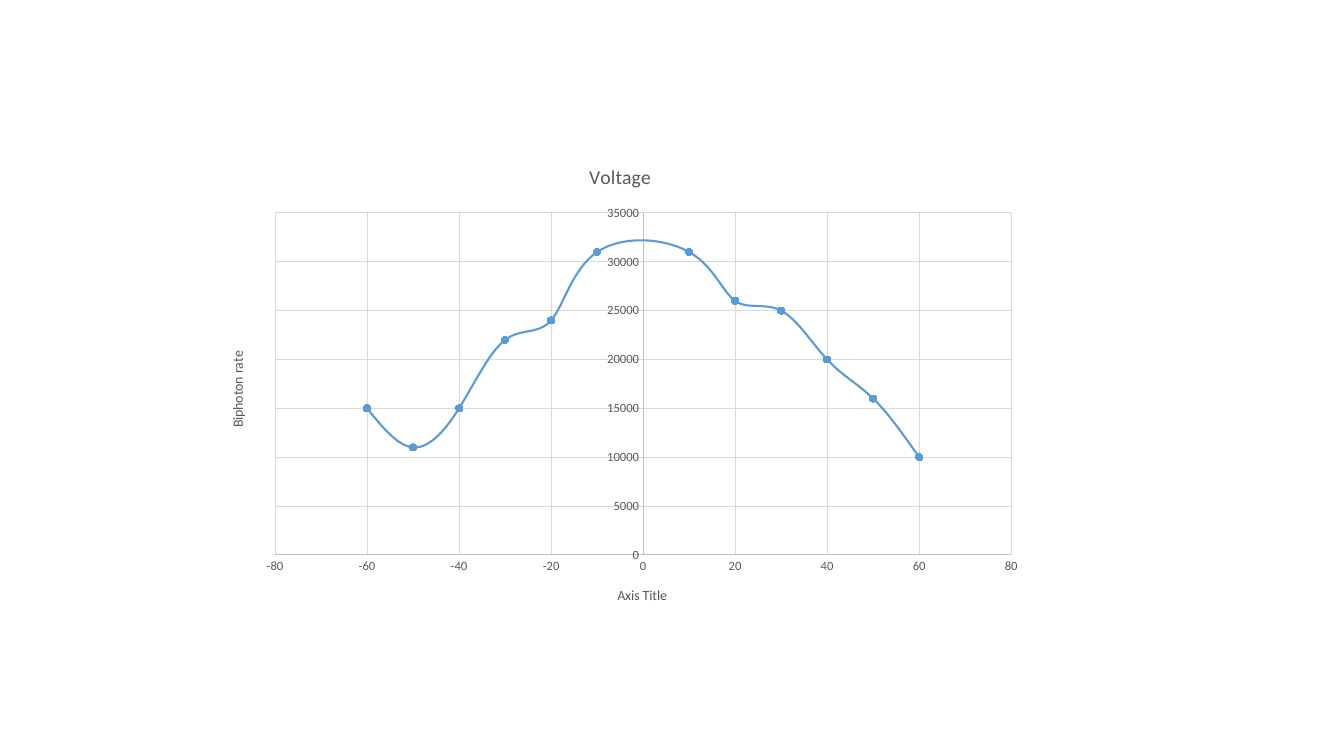
from lxml import etree
from pptx import Presentation, util as u
from pptx.chart.data import XyChartData
from pptx.dml.color import RGBColor
from pptx.enum import chart as ec

PX = 914400 / 100.8
GREY, BLUE = "595959", "5B9BD5"


def ink(line, color, width):
    line.color.rgb = RGBColor.from_string(color)
    line.width = u.Pt(width)


def label(item, words, size):
    item.has_title = True
    title = item.chart_title if item is chart else item.axis_title
    title.text_frame.text = words
    font = title.text_frame.paragraphs[0].font
    font.size, font.bold, font.name = u.Pt(size), False, "Calibri"
    font.color.rgb = RGBColor.from_string(GREY)


deck = Presentation()
deck.slide_width, deck.slide_height = u.Inches(13.33), u.Inches(7.5)
slide = deck.slides.add_slide(deck.slide_layouts[6])

rates = [15000, 11000, 15000, 22000, 24000, 31000,
         31000, 26000, 25000, 20000, 16000, 10000]
volts = [v for v in range(-60, 61, 10) if v]
data = XyChartData()
points = data.add_series("Series 1")
for volt, rate in zip(volts, rates):
    points.add_data_point(volt, rate)

left, top, width, height = 206, 145, 828, 479
box = [u.Emu(round(n * PX)) for n in (left, top, width, height)]
chart = slide.shapes.add_chart(ec.XL_CHART_TYPE.XY_SCATTER_SMOOTH, *box, data).chart
chart.has_legend = False
chart.font.name, chart.font.size = "Calibri", u.Pt(10)
chart.plots[0].vary_by_categories = False
label(chart, "Voltage", 14)

across, up = chart.category_axis, chart.value_axis
for axis, words, low, high, step in (
    (across, "Axis Title", -80, 80, 20),
    (up, "Biphoton rate", 0, 35000, 5000),
):
    label(axis, words, 10)
    axis.minimum_scale, axis.maximum_scale, axis.major_unit = low, high, step
    axis.major_tick_mark = axis.minor_tick_mark = ec.XL_TICK_MARK.NONE
    axis.has_major_gridlines = True
    ink(axis.major_gridlines.format.line, "D9D9D9", 0.75)
    ink(axis.format.line, "BFBFBF", 0.75)
    axis.tick_labels.number_format = "General"
    axis.tick_labels.number_format_is_linked = False
    font = axis.tick_labels.font
    font.size, font.name = u.Pt(9), "Calibri"
    font.color.rgb = RGBColor.from_string(GREY)

curve = chart.plots[0].series[0]
ink(curve.format.line, BLUE, 1.5)
dot = curve.marker
dot.style, dot.size = ec.XL_MARKER_STYLE.CIRCLE, 5
dot.format.fill.solid()
dot.format.fill.fore_color.rgb = RGBColor.from_string(BLUE)
ink(dot.format.line, BLUE, 0.75)

C = "{http://schemas.openxmlformats.org/drawingml/2006/chart}"
area = chart.element.find(f".//{C}plotArea")
row = area.find(f".//{C}ser")
for old in row.findall(C + "smooth"):
    row.remove(old)
etree.SubElement(row, C + "smooth", val="1")
for old in area.findall(C + "layout"):
    area.remove(old)
frame = etree.Element(C + "layout")
area.insert(0, frame)
inner = etree.SubElement(frame, C + "manualLayout")
for tag, val in (
    ("layoutTarget", "inner"), ("xMode", "edge"), ("yMode", "edge"),
    ("x", (275 - left) / width), ("y", (213 - top) / height),
    ("w", 736 / width), ("h", 342 / height),
):
    etree.SubElement(inner, C + tag, val=str(round(val, 4) if tag in "xywh" else val))

deck.save("out.pptx")
